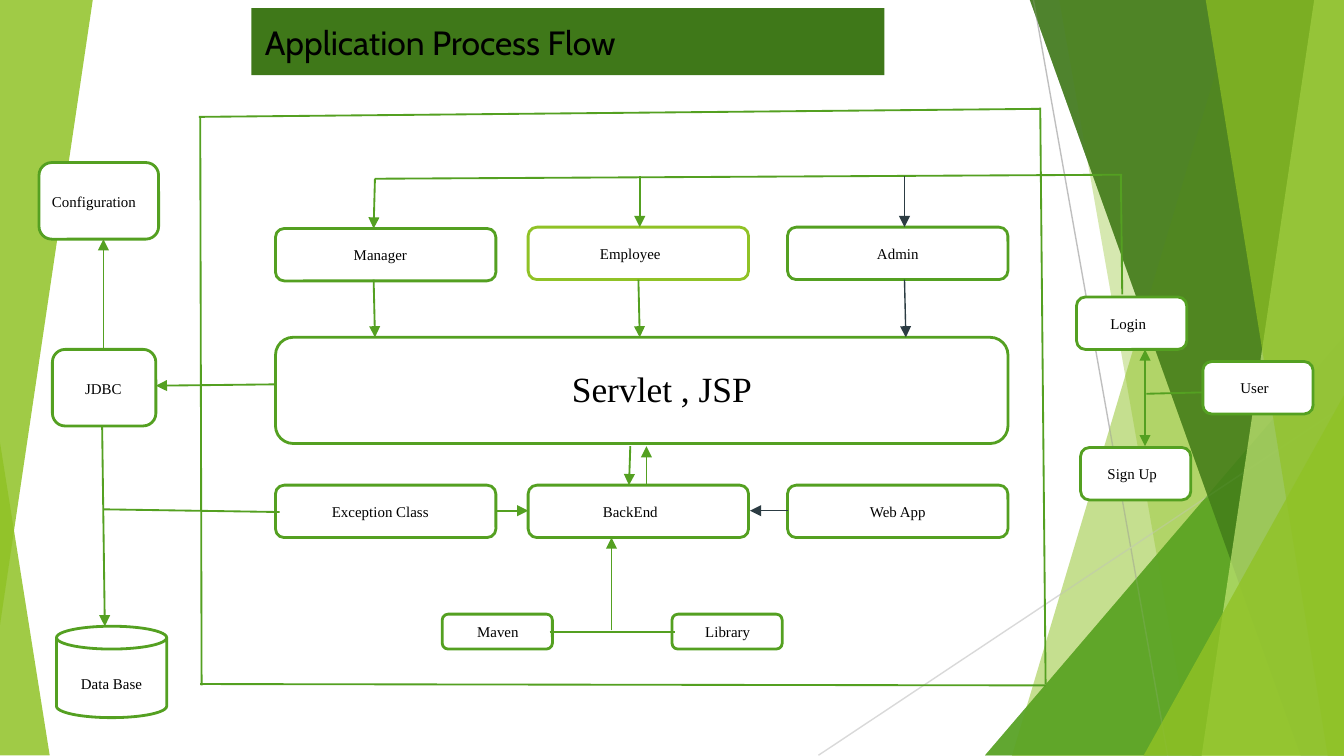
from dataclasses import dataclass

from lxml import etree
from pptx import Presentation
from pptx.dml.color import RGBColor
from pptx.enum.shapes import MSO_CONNECTOR, MSO_SHAPE
from pptx.enum.text import MSO_ANCHOR, MSO_AUTO_SIZE, PP_ALIGN
from pptx.oxml.ns import qn
from pptx.slide import Slide
from pptx.util import Inches, Pt

STRAIGHT = MSO_CONNECTOR.STRAIGHT
ROUNDED, CAN = MSO_SHAPE.ROUNDED_RECTANGLE, MSO_SHAPE.CAN
TRIANGLE = MSO_SHAPE.ISOSCELES_TRIANGLE
TOP, MIDDLE = MSO_ANCHOR.TOP, MSO_ANCHOR.MIDDLE
LEFT, CENTER = PP_ALIGN.LEFT, PP_ALIGN.CENTER
NO_AUTOFIT = MSO_AUTO_SIZE.NONE

COLORS = {
    "white": "FFFFFF", "black": "000000", "green": "54A021", "lime": "90C226",
    "forest": "3F7819", "pale": "C0E474", "slate": "2C3C43",
    "gray": "BFBFBF", "light gray": "D9D9D9",
}
WIDTH = 10
HEIGHT = WIDTH * 9 / 16
BODY_FONT, TITLE_FONT = "Times New Roman", "Cabin"


@dataclass
class Panel:
    """Translucent band running from a slanted edge to the right margin."""
    top_x: float
    bottom_x: float
    color: str
    opacity: int


@dataclass
class Wedge:
    left: float
    top: float
    width: float
    height: float
    color: str
    opacity: int
    apex: float = 1
    rotation: int = 0


@dataclass
class BoxStyle:
    """Size of a box and the place of its label relative to the box."""
    width: float
    height: float
    label_x: float
    label_y: float
    label_width: float
    label_height: float
    font_size: int = 8
    preset: MSO_SHAPE = ROUNDED


@dataclass
class Box:
    text: str
    left: float
    top: float
    style: BoxStyle
    color: str = "green"


@dataclass
class Line:
    x1: float
    y1: float
    x2: float
    y2: float
    arrow: bool = True
    color: str = "green"
    weight: float = 1


def rgb(name: str) -> RGBColor:
    return RGBColor.from_string(COLORS[name])


def paint_translucent(shape, color: str, opacity: int) -> None:
    shape.shadow.inherit = False
    shape.line.fill.background()
    shape.fill.solid()
    shape.fill.fore_color.rgb = rgb(color)
    color_element = shape.element.spPr.find(qn("a:solidFill"))[0]
    etree.SubElement(color_element, qn("a:alpha"), val=str(opacity * 1000))


def draw_backdrop(slide: Slide, part: Panel | Wedge) -> None:
    if isinstance(part, Panel):
        top = -0.01
        builder = slide.shapes.build_freeform(Inches(part.top_x), Inches(top))
        corners = [(WIDTH, top), (WIDTH, HEIGHT), (part.bottom_x, HEIGHT)]
        builder.add_line_segments([(Inches(x), Inches(y)) for x, y in corners])
        shape = builder.convert_to_shape()
    else:
        shape = slide.shapes.add_shape(TRIANGLE, Inches(part.left), Inches(part.top),
                                       Inches(part.width), Inches(part.height))
        shape.adjustments[0] = part.apex
        shape.rotation = part.rotation
    paint_translucent(shape, part.color, part.opacity)


def draw_line(slide: Slide, line: Line) -> None:
    connector = slide.shapes.add_connector(STRAIGHT, Inches(line.x1), Inches(line.y1),
                                           Inches(line.x2), Inches(line.y2))
    connector.line.color.rgb = rgb(line.color)
    connector.line.width = Pt(line.weight)
    properties = connector.element.spPr
    if line.arrow:
        etree.SubElement(properties.find(qn("a:ln")), qn("a:tailEnd"), type="triangle")
    etree.SubElement(properties, qn("a:effectLst"))


def write_text(shape, text: str, font: str, size: int, align: PP_ALIGN,
               anchor: MSO_ANCHOR) -> None:
    frame = shape.text_frame
    frame.text = text
    frame.word_wrap = True
    frame.auto_size = NO_AUTOFIT
    frame.vertical_anchor = anchor
    frame.margin_left = frame.margin_right = Inches(0.1)
    frame.margin_top = frame.margin_bottom = Inches(0.1)
    paragraph = frame.paragraphs[0]
    paragraph.alignment = align
    run_font = paragraph.runs[0].font
    run_font.name, run_font.size = font, Pt(size)
    run_font.color.rgb = rgb("black")


def draw_box(slide: Slide, box: Box) -> None:
    style = box.style
    shape = slide.shapes.add_shape(style.preset, Inches(box.left), Inches(box.top),
                                   Inches(style.width), Inches(style.height))
    shape.shadow.inherit = False
    shape.fill.solid()
    shape.fill.fore_color.rgb = rgb("white")
    shape.line.color.rgb = rgb(box.color)
    shape.line.width = Pt(1.5)
    label = slide.shapes.add_textbox(
        Inches(box.left + style.label_x), Inches(box.top + style.label_y),
        Inches(style.label_width), Inches(style.label_height))
    write_text(label, box.text, BODY_FONT, style.font_size, CENTER, MIDDLE)


def draw_title(slide: Slide, text: str) -> None:
    title = slide.shapes.title
    title.left, title.top = Inches(1.87), Inches(0.06)
    title.width, title.height = Inches(4.71), Inches(0.5)
    title.fill.solid()
    title.fill.fore_color.rgb = rgb("forest")
    write_text(title, text, TITLE_FONT, 18, LEFT, TOP)


# Backdrop: the same right-hand facets lie on both sides of the thin lines
FACETS = [
    Panel(9.21, 7.53, "lime", 30), Panel(7.88, 8.87, "lime", 20),
    Wedge(7.33, 2.5, 2.67, 3.12, "green", 72),
    Panel(7.66, 9.68, "forest", 70), Panel(9.78, 8.94, "pale", 70),
    Panel(8.97, 9.88, "lime", 65), Wedge(8.51, 2.94, 1.49, 2.68, "lime", 80),
]
LOWER_LEFT = Wedge(0, 3.29, 0.37, 2.33, "lime", 85, apex=0)
UPPER_LEFT = Wedge(0, 0, 0.69, 4.65, "lime", 85, rotation=180)
THIN_LINES = [Line(7.69, 0, 8.69, 5.63, False, "gray", 0.75),
              Line(10, 3.02, 6.09, 5.62, False, "light gray", 0.75)]

# Boxes
COLUMNS = [2.05, 3.93, 5.86]
COLUMN_STYLES = [BoxStyle(1.64, 0.39, x, 0.07, 1.38, 0.25) for x in (0.09, 0.07, 0.13)]
ACCESS = BoxStyle(0.82, 0.39, 0, 0.07, 0.77, 0.25)
TOOL = BoxStyle(0.82, 0.26, 0.03, 0.05, 0.77, 0.16)
ROLES = [("Manager", 1.7, "green"), ("Employee", 1.69, "lime"), ("Admin", 1.69, "green")]
SERVICES = [(name, 3.61, "green") for name in ("Exception Class", "BackEnd", "Web App")]
BOXES = [
    Box(name, left, top, style, color)
    for row in (ROLES, SERVICES)
    for (name, top, color), left, style in zip(row, COLUMNS, COLUMN_STYLES)
] + [
    Box("Servlet , JSP", 2.05, 2.51, BoxStyle(5.45, 0.79, -0.29, 0.07, 6.33, 0.62, 19)),
    Box("Configuration", 0.29, 1.21, BoxStyle(0.89, 0.57, -0.06, 0.11, 0.94, 0.36)),
    Box("JDBC", 0.39, 2.6, BoxStyle(0.77, 0.57, -0.09, 0.11, 0.94, 0.36)),
    Box("Data Base", 0.42, 4.66, BoxStyle(0.82, 0.68, 0, 0.3, 0.82, 0.25, preset=CAN)),
    Box("Login", 8.01, 2.21, ACCESS), Box("Sign Up", 8.04, 3.33, ACCESS),
    Box("User", 8.95, 2.69, ACCESS),
    Box("Maven", 3.29, 4.57, TOOL), Box("Library", 5, 4.57, TOOL),
]

# Flow lines, then the four sides of the application frame
LINES = [
    Line(8.34, 1.3, 8.35, 2.19, False), Line(8.35, 1.3, 2.79, 1.33, False),
    Line(2.79, 1.33, 2.78, 1.7), Line(4.76, 1.31, 4.76, 1.69),
    Line(6.73, 1.31, 6.73, 1.69, color="slate", weight=0.75),
    Line(8.95, 2.92, 8.53, 2.93, False),
    Line(8.52, 3, 8.52, 2.6), Line(8.52, 2.98, 8.52, 3.32),
    Line(2.78, 2.08, 2.79, 2.51), Line(4.75, 2.08, 4.76, 2.51),
    Line(6.73, 2.08, 6.74, 2.51, color="slate", weight=0.75),
    Line(4.69, 3.32, 4.68, 3.61), Line(4.81, 3.61, 4.81, 3.32),
    Line(4.09, 4.7, 5.02, 4.7, False), Line(4.55, 4.69, 4.55, 4),
    Line(2.05, 2.86, 1.16, 2.87), Line(0.77, 2.6, 0.77, 1.78),
    Line(3.7, 3.8, 3.93, 3.8), Line(5.86, 3.8, 5.58, 3.8, color="slate", weight=0.75),
    Line(2.08, 3.81, 0.77, 3.79, False), Line(0.76, 3.17, 0.78, 4.66),
    Line(1.48, 0.87, 7.74, 0.81, False), Line(1.49, 0.87, 1.5, 5.1, False),
    Line(1.49, 5.09, 7.78, 5.1, False), Line(7.74, 0.8, 7.78, 5.09, False),
]


def main() -> None:
    presentation = Presentation()
    presentation.slide_width, presentation.slide_height = Inches(WIDTH), Inches(HEIGHT)
    slide = presentation.slides.add_slide(presentation.slide_layouts[5])
    draw_title(slide, "Application Process Flow")
    for part in [*FACETS, LOWER_LEFT]:
        draw_backdrop(slide, part)
    for line in THIN_LINES:
        draw_line(slide, line)
    for part in [*FACETS, UPPER_LEFT]:
        draw_backdrop(slide, part)
    for box in BOXES:
        draw_box(slide, box)
    for line in LINES:
        draw_line(slide, line)
    presentation.save("out.pptx")


if __name__ == "__main__":
    main()
